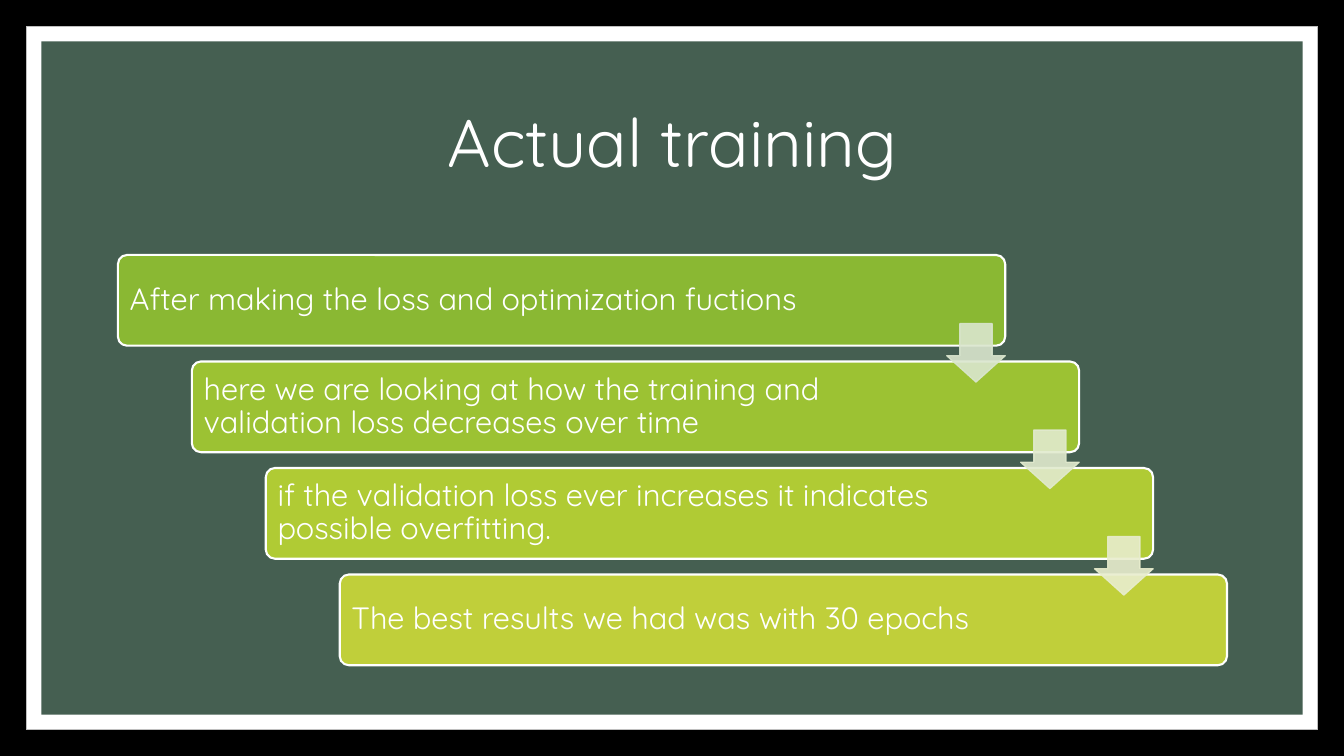
from lxml import etree
from pptx import Presentation
from pptx.dml.color import RGBColor
from pptx.enum.shapes import MSO_SHAPE as Shape
from pptx.enum.text import MSO_ANCHOR as Anchor, PP_ALIGN as Align
from pptx.oxml.ns import qn
from pptx.util import Inches, Pt

# Content: step text, step colour, colour of the arrow leaving it
TITLE = "Actual training"
STEPS = [
    ("After making the loss and optimization fuctions", "8AB833", "DAE6CE"),
    ("here we are looking at how the training and validation loss decreases over time",
     "9CC233", "E1EACE"),
    ("if the validation loss ever increases it indicates possible overfitting.",
     "B0CB34", "E8EDCE"),
    ("The best results we had was with 30 epochs", "C0CF3A", None),
]
COLORS = {"black": "000000", "white": "FFFFFF", "edge": "BFBFBF", "board": "455F51"}
FONT = "Quicksand"

# Geometry in inches
WIDTH, HEIGHT = 13.33, 7.5
FRAME, BOARD = 0.26, 0.41
TITLE_BOX = (1.17, 0.7, 11, 1.5)
STEP_LEFT, STEP_TOP, STEP_WIDTH, STEP_HEIGHT = 1.17, 2.53, 8.8, 0.9
STAIR_RUN, STAIR_RISE = 2.2, 3.17
SHIFT_X, SHIFT_Y = (length / (len(STEPS) - 1) for length in (STAIR_RUN, STAIR_RISE))
ARROW = 0.58
ARROW_DROP = 0.68
TEXT_INSETS = (0.09, 0.09, 1.25, 0.09)


def rgb(color):
    return RGBColor.from_string(color)


def set_alpha(shape, percent):
    for color in shape.element.spPr.iter(qn("a:srgbClr")):
        etree.SubElement(color, qn("a:alpha")).set("val", str(percent * 1000))


def add_block(page, kind, box, fill, line=None, line_width=1, adjust=()):
    block = page.shapes.add_shape(kind, *map(Inches, box))
    block.shadow.inherit = False
    for index, value in enumerate(adjust):
        block.adjustments[index] = value
    block.fill.solid()
    block.fill.fore_color.rgb = rgb(fill)
    if line:
        block.line.color.rgb = rgb(line)
        block.line.width = Pt(line_width)
    else:
        block.line.fill.background()
    return block


def write(shape, text, size, align=Align.LEFT, insets=(0.1, 0.05, 0.1, 0.05)):
    frame = shape.text_frame
    frame.word_wrap = True
    frame.vertical_anchor = Anchor.MIDDLE
    (frame.margin_left, frame.margin_top,
     frame.margin_right, frame.margin_bottom) = map(Inches, insets)
    para = frame.paragraphs[0]
    para.alignment = align
    para.line_spacing = 0.9
    span = para.add_run()
    span.text = text
    span.font.name = FONT
    span.font.size = Pt(size)
    span.font.color.rgb = rgb(COLORS["white"])


def inset_box(margin):
    return margin, margin, WIDTH - 2 * margin, HEIGHT - 2 * margin


def main():
    deck = Presentation()
    deck.slide_width, deck.slide_height = Inches(WIDTH), Inches(HEIGHT)
    page = deck.slides.add_slide(deck.slide_layouts[6])

    # Framed board
    page.background.fill.solid()
    page.background.fill.fore_color.rgb = rgb(COLORS["black"])
    add_block(page, Shape.RECTANGLE, inset_box(FRAME), COLORS["white"], COLORS["edge"], 0.5)
    add_block(page, Shape.RECTANGLE, inset_box(BOARD), COLORS["board"])

    # Title
    title = page.shapes.add_textbox(*map(Inches, TITLE_BOX))
    write(title, TITLE, 48, align=Align.CENTER)

    # Staircase of steps
    corners = [(STEP_LEFT + i * SHIFT_X, STEP_TOP + i * SHIFT_Y) for i in range(len(STEPS))]
    for (left, top), (text, fill, _) in zip(corners, STEPS):
        step = add_block(page, Shape.ROUNDED_RECTANGLE, (left, top, STEP_WIDTH, STEP_HEIGHT),
                         fill, COLORS["white"], 1.5, adjust=(0.1,))
        write(step, text, 22, insets=TEXT_INSETS)

    # Arrows, flush with the right edge of the step they leave
    for (left, top), (_, _, tint) in zip(corners, STEPS):
        if tint:
            box = (left + STEP_WIDTH - ARROW, top + ARROW_DROP, ARROW, ARROW)
            arrow = add_block(page, Shape.DOWN_ARROW, box, tint, tint, adjust=(0.55, 0.45))
            set_alpha(arrow, 90)

    deck.save("out.pptx")


if __name__ == "__main__":
    main()
